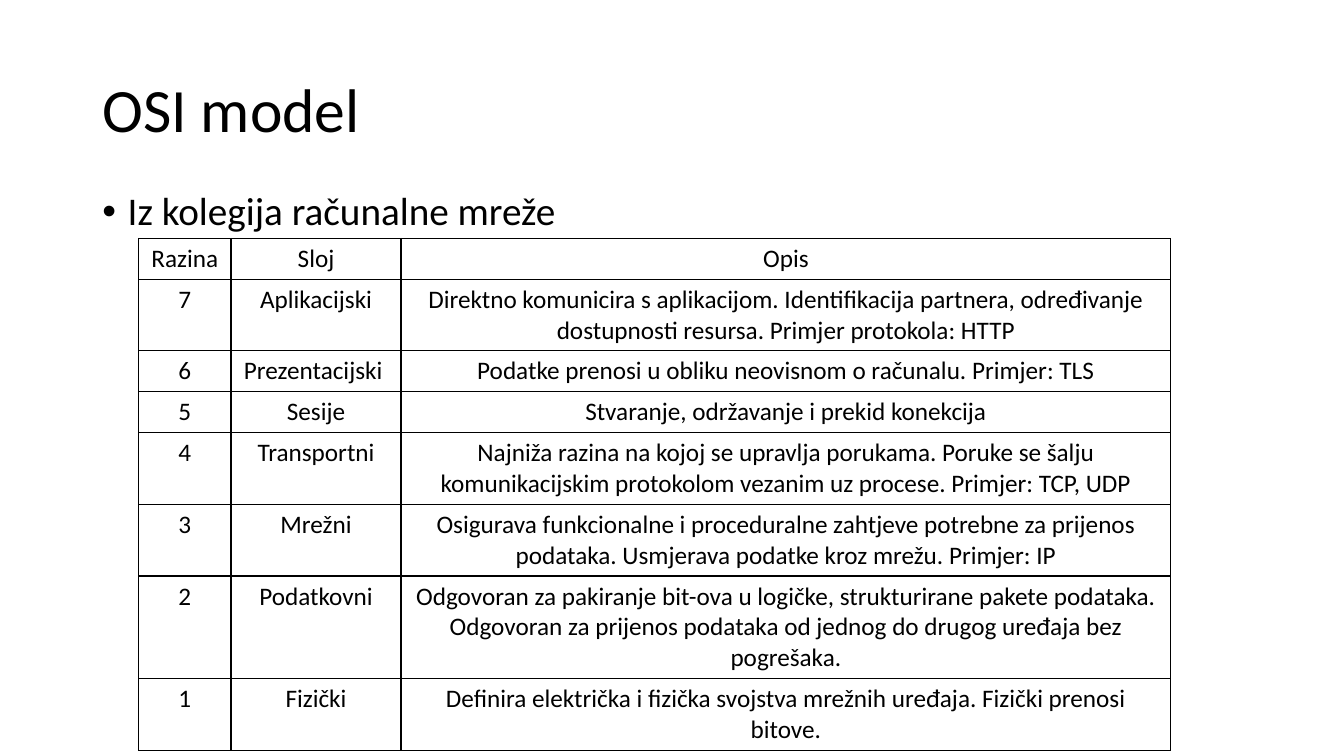
from lxml import etree
from pptx import Presentation
from pptx.dml.color import RGBColor
from pptx.enum.text import MSO_ANCHOR, MSO_AUTO_SIZE, PP_ALIGN
from pptx.oxml.ns import qn
from pptx.util import Emu, Pt

LEFT, CENTER = PP_ALIGN.LEFT, PP_ALIGN.CENTER
TOP, MIDDLE = MSO_ANCHOR.TOP, MSO_ANCHOR.MIDDLE
NO_AUTOFIT = MSO_AUTO_SIZE.NONE
PX = 9525
THEME = {
    "font": "Calibri",
    "bullet_font": "Arial",
    "ink": "000000",
    "title": 44,
    "body": 28,
    "table": 18,
    "border": 1,
}

LAYERS = [
    ("Razina", "Sloj", "Opis"),
    ("7", "Aplikacijski", "Direktno komunicira s aplikacijom. Identifikacija partnera, "
     "određivanje dostupnosti resursa. Primjer protokola: HTTP"),
    ("6", "Prezentacijski ", "Podatke prenosi u obliku neovisnom o računalu. Primjer: TLS"),
    ("5", "Sesije", "Stvaranje, održavanje i prekid konekcija"),
    ("4", "Transportni", "Najniža razina na kojoj se upravlja porukama. Poruke se šalju "
     "komunikacijskim protokolom vezanim uz procese. Primjer: TCP, UDP"),
    ("3", "Mrežni", "Osigurava funkcionalne i proceduralne zahtjeve potrebne za prijenos "
     "podataka. Usmjerava podatke kroz mrežu. Primjer: IP"),
    ("2", "Podatkovni", "Odgovoran za pakiranje bit-ova u logičke, strukturirane pakete "
     "podataka. Odgovoran za prijenos podataka od jednog do drugog uređaja bez pogrešaka."),
    ("1", "Fizički", "Definira električka i fizička svojstva mrežnih uređaja. "
     "Fizički prenosi bitove."),
]
COLUMN_WIDTHS = [88, 162, 733]
ROW_HEIGHTS = [39, 68, 39, 39, 68, 68, 98, 68]


def write_text(text_frame, text, size, **paragraph_format):
    text_frame.text = text
    paragraph = text_frame.paragraphs[0]
    for name, value in paragraph_format.items():
        setattr(paragraph, name, value)
    font = paragraph.runs[0].font
    for name, value in {"name": THEME["font"], "size": Pt(THEME[size]), "bold": False}.items():
        setattr(font, name, value)
    font.color.rgb = RGBColor.from_string(THEME["ink"])
    return paragraph


def add_borders(cell):
    """Draw a solid line on all four sides; call before setting the cell's fill."""
    properties = cell._tc.get_or_add_tcPr()
    for side in ("a:lnL", "a:lnR", "a:lnT", "a:lnB"):
        line = etree.SubElement(properties, qn(side), w=str(Pt(THEME["border"])))
        fill = etree.SubElement(line, qn("a:solidFill"))
        etree.SubElement(fill, qn("a:srgbClr"), val=THEME["ink"])


presentation = Presentation()
presentation.slide_width = Emu(1280 * PX)
presentation.slide_height = Emu(720 * PX)
slide = presentation.slides.add_slide(presentation.slide_layouts[1])

title = slide.shapes.title
body = slide.placeholders[1]
for placeholder, box, anchor in [
    (title, (88, 38, 1104, 139), MIDDLE),
    (body, (88, 178, 1104, 457), TOP),
]:
    for name, length in zip(("left", "top", "width", "height"), box):
        setattr(placeholder, name, Emu(length * PX))
    frame_format = {"vertical_anchor": anchor, "word_wrap": True, "auto_size": NO_AUTOFIT}
    for name, value in frame_format.items():
        setattr(placeholder.text_frame, name, value)

write_text(title.text_frame, "OSI model", "title", alignment=LEFT, line_spacing=0.9)
bullet = write_text(body.text_frame, "Iz kolegija računalne mreže", "body",
                    alignment=LEFT, line_spacing=0.9, space_before=Pt(10))
bullet_properties = bullet._p.get_or_add_pPr()
bullet_properties.set("marL", str(24 * PX))
bullet_properties.set("indent", str(-24 * PX))
etree.SubElement(bullet_properties, qn("a:buFont"), typeface=THEME["bullet_font"])
etree.SubElement(bullet_properties, qn("a:buChar"), char="•")

table = slide.shapes.add_table(
    len(LAYERS), len(COLUMN_WIDTHS), Emu(132 * PX), Emu(227 * PX),
    Emu(sum(COLUMN_WIDTHS) * PX), Emu(sum(ROW_HEIGHTS) * PX),
).table
table.first_row = False
table.horz_banding = False
for column, width in zip(table.columns, COLUMN_WIDTHS):
    column.width = Emu(width * PX)
for row, height, texts in zip(table.rows, ROW_HEIGHTS, LAYERS):
    row.height = Emu(height * PX)
    for cell, text in zip(row.cells, texts):
        write_text(cell.text_frame, text, "table", alignment=CENTER)
        add_borders(cell)
        cell.fill.background()

presentation.save("out.pptx")
